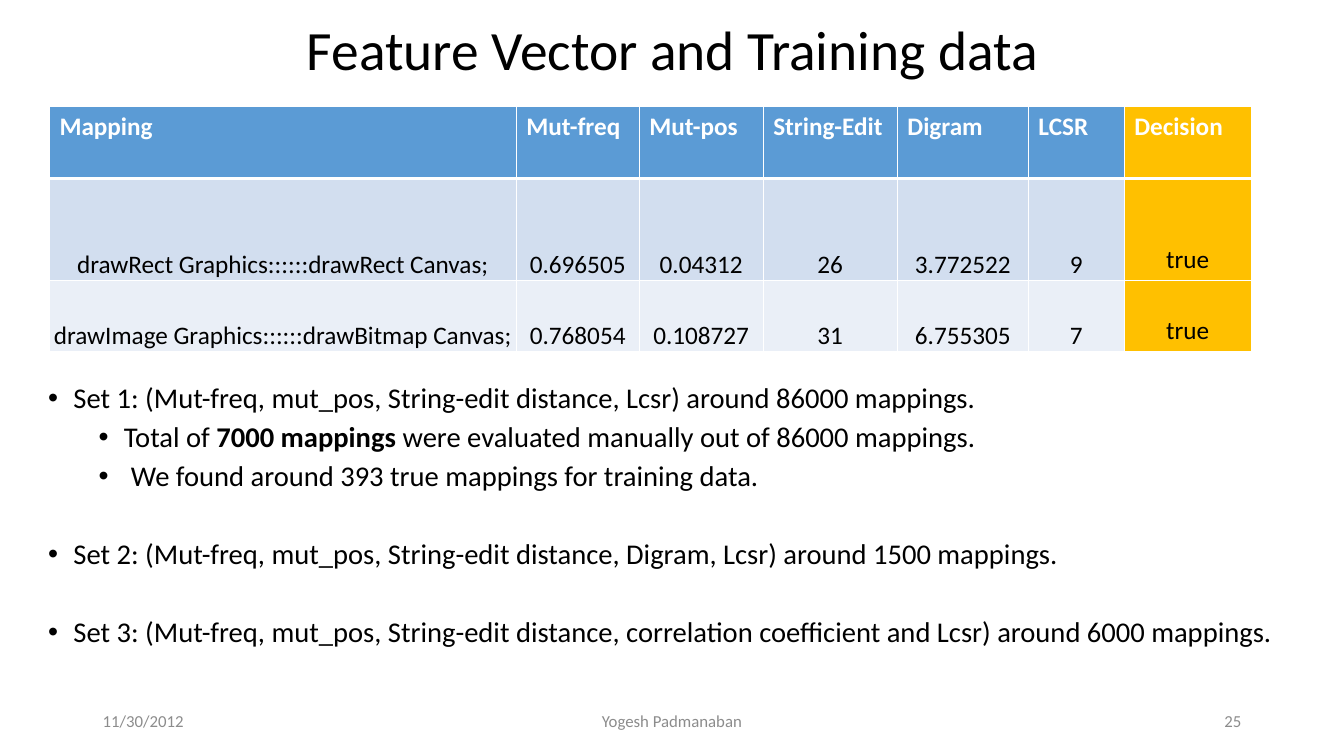
import pptx
import pptx.util
import pptx.dml.color
import pptx.enum.text
import pptx.oxml
import pptx.oxml.ns
from pptx.util import Inches

COLORS = {"black": "000000", "white": "FFFFFF", "gray": "8C8C8C", "header": "5B9BD5",
          "decision": "FFC000", "band_dark": "D2DEEF", "band_light": "EAEFF7"}
ALIGN = pptx.enum.text.PP_ALIGN
ANCHOR = pptx.enum.text.MSO_ANCHOR

COLUMN_WIDTHS = [4.63, 1.22, 1.23, 1.33, 1.3, 0.95, 1.26]
ROW_HEIGHTS = [0.71, 1.01, 0.71]
MAPPINGS = [
    ["Mapping", "Mut-freq", "Mut-pos", "String-Edit", "Digram", "LCSR", "Decision"],
    ["drawRect Graphics::::::drawRect Canvas;", "0.696505", "0.04312", "26", "3.772522", "9", "true"],
    ["drawImage Graphics::::::drawBitmap Canvas;", "0.768054", "0.108727", "31", "6.755305", "7", "true"],
]
# Each entry: left margin, hanging indent, space before, runs as (text, bold)
TRAINING_SETS = [
    (0.25, 0.25, 0, [("Set 1: (Mut-freq, mut_pos, String-edit distance, Lcsr) around 86000 mappings.", False)]),
    (0.75, 0.25, 5.7, [("Total of ", False), ("7000 mappings ", True),
                       ("were evaluated manually out of 86000 mappings.", False)]),
    (0.82, 0.32, 5.7, [("We found around 393 true mappings for training data.", False)]),
    (0.25, 0.25, 33.8, [("Set 2: (Mut-freq, mut_pos, String-edit distance, Digram, Lcsr) "
                         "around 1500 mappings.", False)]),
    (0.25, 0.25, 33.8, [("Set 3: (Mut-freq, mut_pos, String-edit distance, correlation coefficient "
                         "and Lcsr) around 6000 mappings.", False)]),
]
FOOTERS = [(0.92, 3.58, "11/30/2012", ALIGN.LEFT),
           (5.08, 3.17, "Yogesh Padmanaban", ALIGN.CENTER),
           (8.83, 3.58, "25", ALIGN.RIGHT)]


class SlideBuilder:
    font_name = "Calibri"

    def __init__(self, deck):
        self.slide = deck.slides.add_slide(deck.slide_layouts[5])

    def style(self, font, size, color, bold=False):
        font.name = self.font_name
        font.size = pptx.util.Pt(size)
        font.bold = bold
        font.color.rgb = pptx.dml.color.RGBColor.from_string(COLORS[color])

    def set_text(self, frame, text, size, color, align, bold=False):
        frame.text = text
        para = frame.paragraphs[0]
        para.alignment = align
        self.style(para.runs[0].font, size, color, bold)

    def title(self, text, left, top, width, height):
        box = self.slide.shapes.title
        box.left, box.top, box.width, box.height = map(Inches, (left, top, width, height))
        frame = box.text_frame
        frame.auto_size = pptx.enum.text.MSO_AUTO_SIZE.NONE
        frame.vertical_anchor = ANCHOR.MIDDLE
        self.set_text(frame, text, 39.6, "black", ALIGN.CENTER)

    def text_frame(self, left, top, width, height):
        box = self.slide.shapes.add_textbox(*map(Inches, (left, top, width, height)))
        box.text_frame.word_wrap = True
        return box.text_frame

    def footer(self, left, width, text, align):
        frame = self.text_frame(left, 6.95, width, 0.4)
        frame.vertical_anchor = ANCHOR.MIDDLE
        self.set_text(frame, text, 12, "gray", align)

    def bullets(self, entries, left, top, width, height):
        frame = self.text_frame(left, top, width, height)
        for index, (margin, hanging, space, runs) in enumerate(entries):
            para = frame.add_paragraph() if index else frame.paragraphs[0]
            properties = para._p.get_or_add_pPr()
            properties.set("marL", str(Inches(margin)))
            properties.set("indent", str(-Inches(hanging)))
            for tag, attribute, value in (("buFont", "typeface", "Arial"), ("buChar", "char", "•")):
                bullet = pptx.oxml.parse_xml(
                    f'<a:{tag} {pptx.oxml.ns.nsdecls("a")} {attribute}="{value}"/>')
                properties.append(bullet)
            para.line_spacing = 0.9
            para.space_before = pptx.util.Pt(space)
            for text, bold in runs:
                span = para.add_run()
                span.text = text
                self.style(span.font, 20.4, "black", bold)

    def borders(self, cell, top, bottom):
        """Draw white cell edges; top and bottom are widths in points."""
        properties = cell._tc.get_or_add_tcPr()
        for index, (side, width) in enumerate(zip("LRTB", (1, 1, top, bottom))):
            line = pptx.oxml.parse_xml(
                f'<a:ln{side} {pptx.oxml.ns.nsdecls("a")} w="{pptx.util.Pt(width)}">'
                f'<a:solidFill><a:srgbClr val="{COLORS["white"]}"/></a:solidFill></a:ln{side}>')
            properties.insert(index, line)

    def table(self, rows, left, top):
        size = (sum(COLUMN_WIDTHS), sum(ROW_HEIGHTS))
        table = self.slide.shapes.add_table(
            len(rows), len(rows[0]), *map(Inches, (left, top, *size))).table
        for column, width in zip(table.columns, COLUMN_WIDTHS):
            column.width = Inches(width)
        for row, height in zip(table.rows, ROW_HEIGHTS):
            row.height = Inches(height)
        for row_index, values in enumerate(rows):
            header = row_index == 0
            for column_index, value in enumerate(values):
                decision = column_index == len(values) - 1
                cell = table.cell(row_index, column_index)
                fill = "decision" if decision else ("header", "band_dark", "band_light")[row_index]
                cell.fill.solid()
                cell.fill.fore_color.rgb = pptx.dml.color.RGBColor.from_string(COLORS[fill])
                self.borders(cell, 3 if row_index == 1 else 1, 3 if header else 1)
                cell.vertical_anchor = ANCHOR.TOP if header else ANCHOR.BOTTOM
                if not header and not decision:
                    cell.margin_left = cell.margin_right = cell.margin_top = Inches(0.01)
                    cell.margin_bottom = Inches(0)
                self.set_text(cell.text_frame, value, 18, "white" if header else "black",
                              ALIGN.LEFT if header else ALIGN.CENTER, header)


def main():
    deck = pptx.Presentation()
    deck.slide_width, deck.slide_height = Inches(13.33), Inches(7.5)
    page = SlideBuilder(deck)
    page.title("Feature Vector and Training data", 0.92, 0.14, 11.5, 0.68)
    page.bullets(TRAINING_SETS, 0.38, 3.76, 12.62, 3.09)
    for footer in FOOTERS:
        page.footer(*footer)
    page.table(MAPPINGS, 0.49, 1.06)
    deck.save("out.pptx")


if __name__ == "__main__":
    main()
